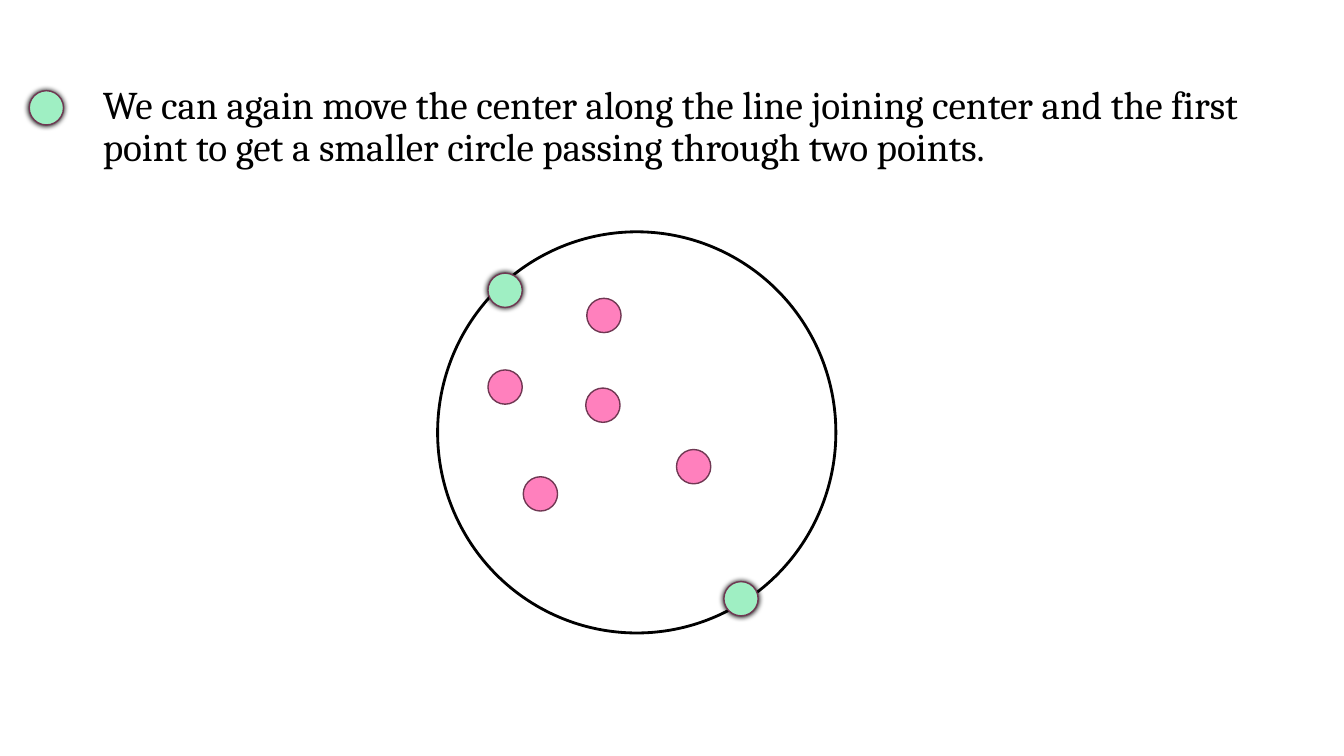
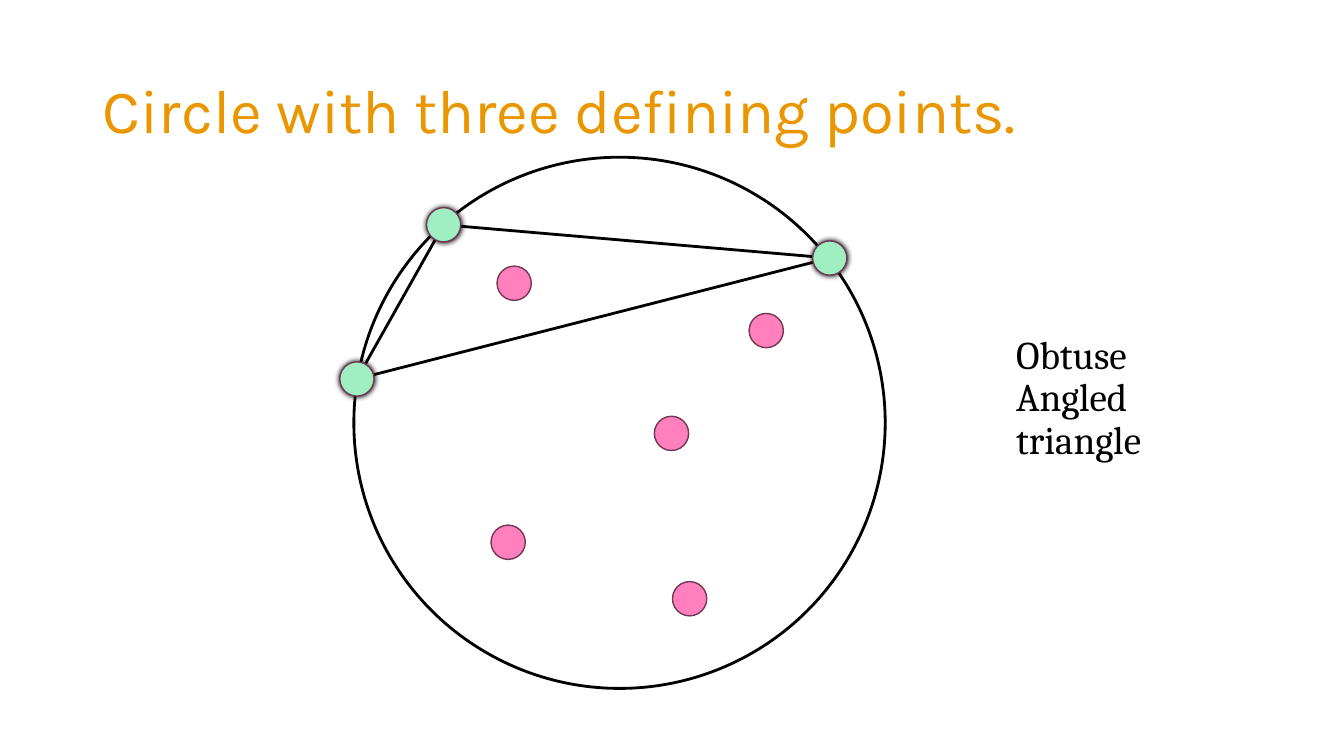
from dataclasses import dataclass
from itertools import combinations

from lxml.etree import SubElement
from pptx import Presentation
from pptx.dml.color import RGBColor as Rgb
from pptx.enum.shapes import MSO_CONNECTOR as Connector, MSO_SHAPE as Shape
from pptx.enum.text import MSO_ANCHOR as Anchor, MSO_AUTO_SIZE as AutoSize, PP_ALIGN as Align
from pptx.oxml.ns import qn
from pptx.util import Inches, Pt


@dataclass(frozen=True)
class Theme:
    ink: Rgb = Rgb.from_string("000000")
    heading: Rgb = Rgb.from_string("EA9600")
    inner_point: Rgb = Rgb.from_string("FF80BD")
    defining_point: Rgb = Rgb.from_string("9FEFC3")
    point_edge: Rgb = Rgb.from_string("703853")
    heading_font: str = "Karla"
    body_font: str = "Cambria"
    heading_size: int = 44
    body_size: int = 28
    line_spacing: float = 0.9
    point_diameter: float = 0.34
    edge_width: int = 1
    stroke_width: int = 2
    glow_blur: int = 4


class Deck:
    def __init__(self, theme):
        self.theme = theme
        self.prs = Presentation()
        self.prs.slide_width, self.prs.slide_height = Inches(13.33), Inches(7.5)
        self.slide = None

    def new_slide(self):
        self.slide = self.prs.slides.add_slide(self.prs.slide_layouts[5])

    def set_text(self, frame, text, font, size, color):
        frame.text = text
        frame.word_wrap = True
        frame.auto_size = AutoSize.NONE
        paragraph = frame.paragraphs[0]
        paragraph.alignment = Align.LEFT
        paragraph.line_spacing = self.theme.line_spacing
        paragraph.space_before = Pt(0)
        style = paragraph.runs[0].font
        style.name, style.size, style.color.rgb = font, Pt(size), color

    def title(self, text, top, font, size, color):
        heading = self.slide.shapes.title
        heading.left, heading.top = Inches(0.92), Inches(top)
        heading.width, heading.height = Inches(11.5), Inches(1.45)
        heading.text_frame.vertical_anchor = Anchor.MIDDLE
        self.set_text(heading.text_frame, text, font, size, color)

    def heading(self, text, top):
        theme = self.theme
        self.title(text, top, theme.heading_font, theme.heading_size, theme.heading)

    def statement(self, text, top):
        theme = self.theme
        self.title(text, top, theme.body_font, theme.body_size, theme.ink)

    def note(self, text, left, top, width, height):
        theme = self.theme
        box = self.slide.shapes.add_textbox(
            Inches(left), Inches(top), Inches(width), Inches(height))
        self.set_text(box.text_frame, text, theme.body_font, theme.body_size, theme.ink)

    def ellipse(self, left, top, width, height, edge, edge_width, fill=None):
        oval = self.slide.shapes.add_shape(
            Shape.OVAL, Inches(left), Inches(top), Inches(width), Inches(height))
        if fill is None:
            oval.fill.background()
        else:
            oval.fill.solid()
            oval.fill.fore_color.rgb = fill
        oval.line.color.rgb = edge
        oval.line.width = Pt(edge_width)
        oval.shadow.inherit = False
        return oval

    def circle(self, left, top, width, height):
        self.ellipse(left, top, width, height, self.theme.ink, self.theme.stroke_width)

    def point(self, center, fill):
        theme = self.theme
        size = theme.point_diameter
        left, top = (value - size / 2 for value in center)
        return self.ellipse(left, top, size, size, theme.point_edge, theme.edge_width, fill)

    def inner_points(self, centers):
        for center in centers:
            self.point(center, self.theme.inner_point)

    def defining_points(self, centers):
        for center in centers:
            marker = self.point(center, self.theme.defining_point)
            effects = marker.element.spPr.find(qn("a:effectLst"))
            glow = SubElement(effects, qn("a:outerShdw"),
                              blurRad=str(Pt(self.theme.glow_blur)), dist="0",
                              algn="ctr", rotWithShape="0")
            SubElement(glow, qn("a:srgbClr"), val=str(self.theme.ink))

    def side(self, start, end):
        edge = self.slide.shapes.add_connector(
            Connector.STRAIGHT, *(Inches(value) for value in (*start, *end)))
        edge.line.color.rgb = self.theme.ink
        edge.line.width = Pt(self.theme.stroke_width)
        SubElement(edge.element.spPr, qn("a:effectLst"))

    def polygon(self, corners):
        for start, end in combinations(corners, 2):
            self.side(start, end)


def two_points_slide(deck):
    deck.new_slide()
    deck.statement("We can again move the center along the line joining center and the "
                   "first point to get a smaller circle passing through two points.", 0.54)
    deck.inner_points([(5.36, 4.9), (5.01, 3.84), (5.98, 4.02), (6.88, 4.63), (5.99, 3.13)])
    deck.circle(4.34, 2.3, 3.95, 3.98)
    deck.defining_points([(0.46, 1.07), (5.01, 2.88), (7.35, 5.94)])


def three_points_slide(deck):
    triangle = [(3.54, 3.76), (8.23, 2.56), (4.4, 2.23)]
    deck.new_slide()
    deck.heading("Circle with three defining points.", 0.4)
    deck.inner_points([(5.04, 5.38), (6.66, 4.3), (6.84, 5.94), (5.1, 2.81), (7.6, 3.28)])
    deck.note("Obtuse Angled triangle", 9.98, 3.28, 2.43, 1.93)
    deck.circle(3.51, 1.56, 5.27, 5.27)
    deck.polygon(triangle)
    deck.defining_points(triangle)


def main():
    deck = Deck(Theme())
    two_points_slide(deck)
    three_points_slide(deck)
    deck.prs.save("out.pptx")


if __name__ == "__main__":
    main()
